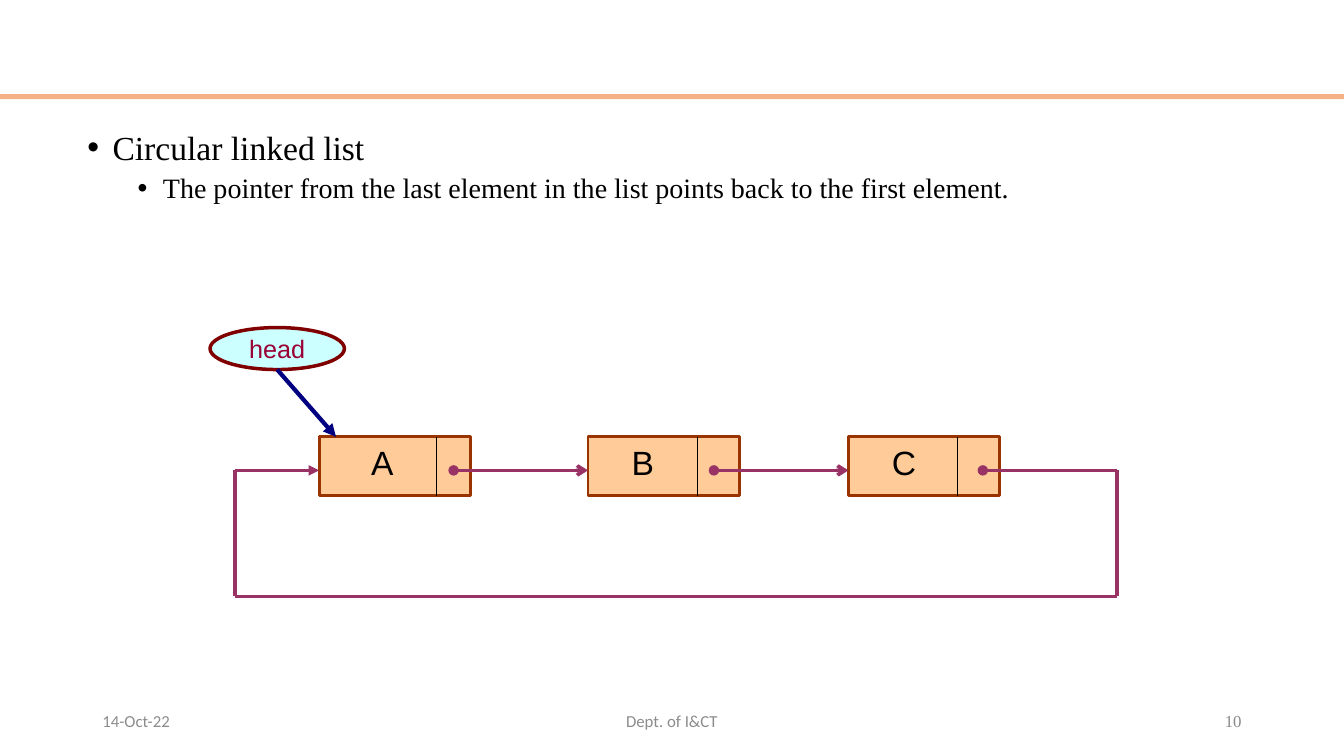
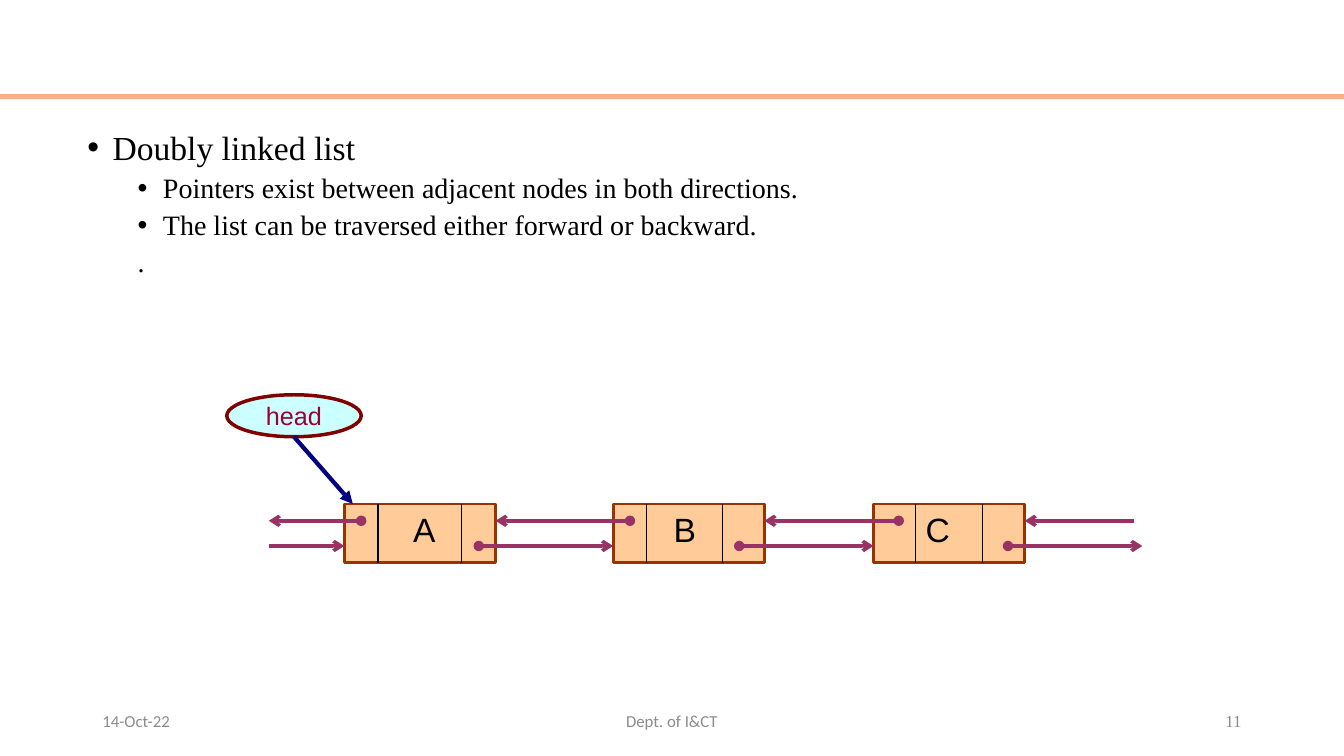
from dataclasses import dataclass
from typing import NamedTuple

from lxml import etree
from pptx import Presentation
from pptx.dml.color import RGBColor
from pptx.enum.shapes import MSO_CONNECTOR, MSO_SHAPE
from pptx.enum.text import MSO_ANCHOR, MSO_AUTO_SIZE, PP_ALIGN
from pptx.oxml.ns import qn
from pptx.util import Emu, Inches, Pt

RECTANGLE, ELLIPSE = MSO_SHAPE.RECTANGLE, MSO_SHAPE.OVAL
STRAIGHT = MSO_CONNECTOR.STRAIGHT
MIDDLE, NO_FIT = MSO_ANCHOR.MIDDLE, MSO_AUTO_SIZE.NONE
LEFT, CENTER, RIGHT = PP_ALIGN.LEFT, PP_ALIGN.CENTER, PP_ALIGN.RIGHT

# The slide is a grid of 160 columns by 90 rows, twelve to the inch
COLUMNS, ROWS = 160, 90
CELL = Inches(1 / 12)
NODE_WIDTH, NODE_HEIGHT = 18, 7
HEAD_WIDTH, HEAD_HEIGHT = 16, 5
LABEL_WIDTH, LABEL_HEIGHT = 8, 6


class TextStyle(NamedTuple):
    font: str
    size: float
    color: str


class Stroke(NamedTuple):
    color: str
    width: float


@dataclass(frozen=True)
class Theme:
    band: str = "F4B183"
    node_fill: str = "FFCC99"
    head_fill: str = "CCFFFF"
    node_border: Stroke = Stroke("993300", 2)
    head_border: Stroke = Stroke("800000", 2.5)
    wire: Stroke = Stroke("993366", 2.5)
    divider: Stroke = Stroke("000000", 0.75)
    head_arrow: Stroke = Stroke("000080", 3)
    topic: TextStyle = TextStyle("Times New Roman", 24, "000000")
    detail: TextStyle = TextStyle("Times New Roman", 20, "000000")
    letter: TextStyle = TextStyle("Arial", 24, "000000")
    head: TextStyle = TextStyle("Arial", 18, "990033")
    footer: TextStyle = TextStyle("Calibri", 12, "8C8C8C")
    number: TextStyle = TextStyle("Times New Roman", 12, "898989")


THEME = Theme()


class Area(NamedTuple):
    column: float
    row: float
    width: float
    height: float


class Bullet(NamedTuple):
    text: str
    level: int = 2
    indent: float = 1.25
    marked: bool = True


class Node(NamedTuple):
    letter: str
    column: float
    label_offset: float
    dividers: tuple[float, ...]


class Wire(NamedTuple):
    start: tuple[float, float]
    end: tuple[float, float]
    head: str = ""
    tail: str = ""


@dataclass(frozen=True)
class ListPage:
    number: int
    bullets: list[Bullet]
    node_row: float
    nodes: list[Node]
    wires: list[Wire]
    head_column: float
    head_row: float


def grid(cells: float) -> Emu:
    return Emu(round(cells * CELL))


def place(area: Area) -> list[Emu]:
    return [grid(cells) for cells in area]


def add_span(para, text: str, style: TextStyle) -> None:
    span = para.add_run()
    span.text = text
    span.font.name = style.font
    span.font.size = Pt(style.size)
    span.font.color.rgb = RGBColor.from_string(style.color)


def add_shape(page, kind, area: Area, fill: str, border: Stroke | None = None):
    shape = page.shapes.add_shape(kind, *place(area))
    shape.shadow.inherit = False
    shape.fill.solid()
    shape.fill.fore_color.rgb = RGBColor.from_string(fill)
    if border:
        shape.line.color.rgb = RGBColor.from_string(border.color)
        shape.line.width = Pt(border.width)
    else:
        shape.line.fill.background()
    return shape


def add_text(page, area: Area, text: str, style: TextStyle, align=LEFT):
    box = page.shapes.add_textbox(*place(area))
    box.text_frame.word_wrap = True
    para = box.text_frame.paragraphs[0]
    para.alignment = align
    add_span(para, text, style)
    return box


def add_line(page, wire: Wire, stroke: Stroke) -> None:
    ends = [grid(cells) for cells in (*wire.start, *wire.end)]
    line = page.shapes.add_connector(STRAIGHT, *ends)
    line.line.color.rgb = RGBColor.from_string(stroke.color)
    line.line.width = Pt(stroke.width)
    properties = line.element.spPr
    outline = properties.find(qn("a:ln"))
    for tag, kind in (("a:headEnd", wire.head), ("a:tailEnd", wire.tail)):
        if kind:
            etree.SubElement(outline, qn(tag), type=kind)
    etree.SubElement(properties, qn("a:effectLst"))


def fill_body(page, bullets: list[Bullet]) -> None:
    body = page.placeholders[1]
    body.left, body.top, body.width, body.height = place(Area(3.2, 15, 154, 67.2))
    frame = body.text_frame
    frame.auto_size = NO_FIT
    for index, bullet in enumerate(bullets):
        para = frame.add_paragraph() if index else frame.paragraphs[0]
        para.level = bullet.level
        para.line_spacing = 0.9
        para.space_before = Pt(5 if index else 0)
        properties = para._p.get_or_add_pPr()
        properties.set("marL", str(Inches(bullet.indent)))
        properties.set("indent", str(Inches(-0.25 if bullet.marked else 0)))
        if bullet.marked:
            etree.SubElement(properties, qn("a:buFont"), typeface="Arial")
            etree.SubElement(properties, qn("a:buChar"), char="•")
        else:
            etree.SubElement(properties, qn("a:buNone"))
        add_span(para, bullet.text, THEME.topic if bullet.level == 1 else THEME.detail)


def add_frame(page, number: int) -> None:
    """Band and footer shared by all pages."""
    add_shape(page, RECTANGLE, Area(0, 11.2, COLUMNS, 0.6), THEME.band)
    for column, width, text, style, align in (
        (11, 36, "14-Oct-22", THEME.footer, LEFT),
        (53, 54, "Dept. of I&CT", THEME.footer, CENTER),
        (113, 36, str(number), THEME.number, RIGHT),
    ):
        box = add_text(page, Area(column, 83.4, width, 4.8), text, style, align)
        box.text_frame.vertical_anchor = MIDDLE


def add_node(page, node: Node, row: float) -> None:
    area = Area(node.column, row, NODE_WIDTH, NODE_HEIGHT)
    add_shape(page, RECTANGLE, area, THEME.node_fill, THEME.node_border)
    for offset in node.dividers:
        column = node.column + offset
        add_line(page, Wire((column, row), (column, row + NODE_HEIGHT)), THEME.divider)
    label = Area(node.column + node.label_offset, row, LABEL_WIDTH, LABEL_HEIGHT)
    add_text(page, label, node.letter, THEME.letter)


def add_head(page, column: float, row: float) -> None:
    area = Area(column, row, HEAD_WIDTH, HEAD_HEIGHT)
    shape = add_shape(page, ELLIPSE, area, THEME.head_fill, THEME.head_border)
    frame = shape.text_frame
    frame.word_wrap = False
    frame.vertical_anchor = MIDDLE
    frame.paragraphs[0].alignment = CENTER
    add_span(frame.paragraphs[0], "head", THEME.head)
    center, bottom = column + HEAD_WIDTH / 2, row + HEAD_HEIGHT
    arrow = Wire((center, bottom), (center + 7, bottom + 8), tail="triangle")
    add_line(page, arrow, THEME.head_arrow)


def add_list_page(deck, content: ListPage) -> None:
    page = deck.slides.add_slide(deck.slide_layouts[1])
    title = page.shapes.title.element
    title.getparent().remove(title)
    add_frame(page, content.number)
    fill_body(page, content.bullets)
    for node in content.nodes:
        add_node(page, node, content.node_row)
    for wire in content.wires:
        add_line(page, wire, THEME.wire)
    add_head(page, content.head_column, content.head_row)


def forward(start: float, row: float, tail: str = "arrow") -> Wire:
    return Wire((start, row), (start + 16, row), "oval", tail)


def backward(start: float, end: float, head: str = "oval") -> Wire:
    return Wire((start, 62), (end, 62), head, "arrow")


# Circular list: the last pointer loops below the nodes to the first one
LOOP = [(133, 56), (133, 71), (28, 71), (28, 56)]
CIRCULAR = ListPage(
    number=10,
    bullets=[
        Bullet("Circular linked list", 1, 0.75),
        Bullet("The pointer from the last element in the list points back to the first element."),
    ],
    node_row=52,
    nodes=[Node("A", 38, 5, (14,)), Node("B", 70, 4, (13,)), Node("C", 101, 4, (13,))],
    wires=[
        forward(54, 56), forward(85, 56), forward(117, 56, ""),
        *(Wire(start, end) for start, end in zip(LOOP, LOOP[1:])),
        Wire(LOOP[-1], (38, 56), tail="triangle"),
    ],
    head_column=25,
    head_row=39,
)

# Doubly linked list: one row of pointers for each direction
DOUBLY = ListPage(
    number=11,
    bullets=[
        Bullet("Doubly linked list", 1, 0.75),
        Bullet("Pointers exist between adjacent nodes in both directions."),
        Bullet("The list can be traversed either forward or backward."),
        Bullet(".", indent=1, marked=False),
    ],
    node_row=60,
    nodes=[Node("A", 41, 7, (4, 14)), Node("B", 73, 6, (4, 13)), Node("C", 104, 5, (5, 13))],
    wires=[
        *(forward(start, 65) for start in (57, 88, 120)),
        Wire((32, 65), (41, 65), tail="arrow"),
        backward(43, 32), backward(75, 59), backward(107, 91), backward(135, 122, ""),
    ],
    head_column=27,
    head_row=47,
)


def main() -> None:
    deck = Presentation()
    deck.slide_width, deck.slide_height = grid(COLUMNS), grid(ROWS)
    for content in (CIRCULAR, DOUBLY):
        add_list_page(deck, content)
    deck.save("out.pptx")


if __name__ == "__main__":
    main()
